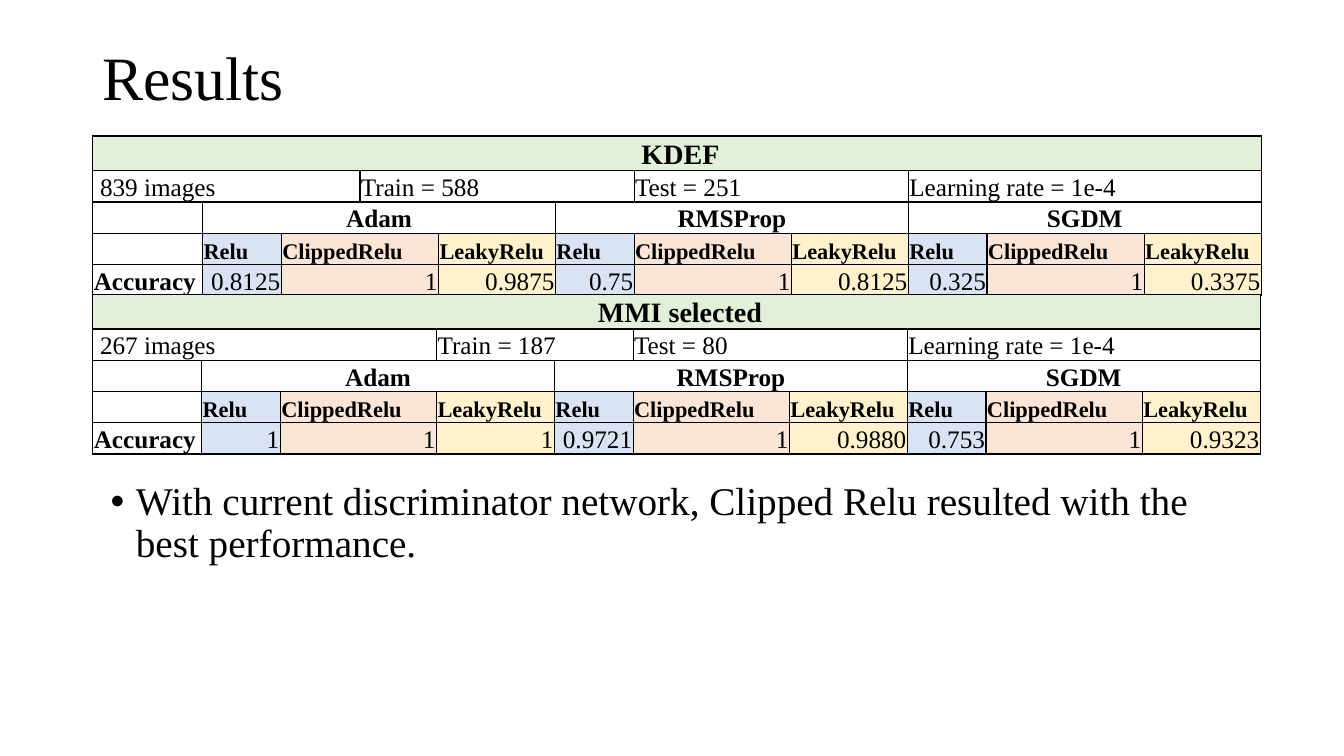
import pptx
import pptx.dml.color
import pptx.enum.text
import pptx.oxml.ns
import pptx.util
from lxml import etree

Inches = pptx.util.Inches
Pt = pptx.util.Pt
RGBColor = pptx.dml.color.RGBColor
qn = pptx.oxml.ns.qn
ALIGN = pptx.enum.text.PP_ALIGN
ANCHOR = pptx.enum.text.MSO_ANCHOR

FONT = "Times New Roman"
BLACK = RGBColor(0x00, 0x00, 0x00)
GREEN = RGBColor(0xE2, 0xF0, 0xD9)
BLUE = RGBColor(0xDA, 0xE3, 0xF3)
ORANGE = RGBColor(0xFB, 0xE5, 0xD6)
YELLOW = RGBColor(0xFF, 0xF2, 0xCC)

ACTIVATIONS = ["Relu", "ClippedRelu", "LeakyRelu"]
ACTIVATION_FILLS = [None] + [BLUE, ORANGE, YELLOW] * 3
OPTIMIZERS = ["Adam", "RMSProp", "SGDM"]
ROW_HEIGHTS = [0.18, 0.21, 0.15, 0.15, 0.15]

KDEF = {
    "name": " KDEF",
    "top": 1.35,
    "widths": [1.09, 0.78, 0.78, 0.78, 1.16] + [0.78, 1.56, 1.16] * 2,
    "split": [" 839 images", "Train = 588", "Test = 251", "Learning rate = 1e-4"],
    "split_spans": [3, 3, 2, 3],
    "optimizer_spans": [1, 4, 3, 3],
    "activation_spans": [1, 1, 2] + [1] * 7,
    "accuracy": ["0.8125", "1", "0.9875", "0.75", "1", "0.8125", "0.325", "1", "0.3375"],
}
MMI = {
    "name": " MMI selected",
    "top": 2.92,
    "widths": [1.08] + [0.78, 1.55, 1.17] * 3,
    "split": [" 267 images", "Train = 187", "Test = 80", "Learning rate = 1e-4 "],
    "split_spans": [3, 2, 2, 3],
    "optimizer_spans": [1, 3, 3, 3],
    "activation_spans": [1] * 10,
    "accuracy": ["1", "1", "1", "0.9721", "1", "0.9880", "0.753", "1", "0.9323"],
}


def add_run(p, text, size, bold=False):
    r = p.add_run()
    r.text = text
    r.font.name = FONT
    r.font.size = Pt(size)
    r.font.bold = bold
    r.font.color.rgb = BLACK


def add_text(slide, left, top, width, height, text, size, anchor):
    box = slide.shapes.add_textbox(Inches(left), Inches(top), Inches(width), Inches(height))
    tf = box.text_frame
    tf.word_wrap = True
    tf.vertical_anchor = anchor
    p = tf.paragraphs[0]
    p.line_spacing = 0.9
    add_run(p, text, size)
    return p


def add_bullet(p):
    p.space_before = Pt(10)
    pPr = p._p.get_or_add_pPr()
    pPr.set("marL", str(Inches(0.25)))
    pPr.set("indent", str(Inches(-0.25)))
    etree.SubElement(pPr, qn("a:buFont"), typeface="Arial")
    etree.SubElement(pPr, qn("a:buChar"), char="•")


def format_cell(cell):
    """Give a cell thin black borders, tight margins and no fill."""
    cell.margin_left = cell.margin_right = cell.margin_top = Inches(0.01)
    cell.margin_bottom = 0
    cell.vertical_anchor = ANCHOR.BOTTOM
    tcPr = cell._tc.get_or_add_tcPr()
    for side in ("lnL", "lnR", "lnT", "lnB"):
        ln = etree.SubElement(tcPr, qn(f"a:{side}"), w=str(Pt(1)))
        fill = etree.SubElement(ln, qn("a:solidFill"))
        etree.SubElement(fill, qn("a:srgbClr"), val=str(BLACK))
    cell.fill.background()


def fill_cell(cell, text, size, bold, align, color):
    p = cell.text_frame.paragraphs[0]
    if text:
        p.alignment = align
        add_run(p, text, size, bold)
    else:
        end = etree.SubElement(p._p, qn("a:endParaRPr"), sz="1800")
        etree.SubElement(end, qn("a:latin"), typeface=FONT)
    if color is not None:
        cell.fill.solid()
        cell.fill.fore_color.rgb = color


def fill_row(table, row, texts, spans, size=18, bold=False, align=ALIGN.LEFT, fills=None):
    """Write texts from left to right, each over its span of columns."""
    col = 0
    for text, span, color in zip(texts, spans, fills or [None] * len(texts)):
        cell = table.cell(row, col)
        if span > 1:
            cell.merge(table.cell(row, col + span - 1))
        fill_cell(cell, text, size, bold, align, color)
        col += span


def add_results(slide, data):
    widths = data["widths"]
    frame = slide.shapes.add_table(len(ROW_HEIGHTS), len(widths), Inches(0.92),
                                   Inches(data["top"]), Inches(11.58), Inches(1.57))
    table = frame.table
    table.first_row = table.horz_banding = False
    for column, width in zip(table.columns, widths):
        column.width = Inches(width)
    for row, height in zip(table.rows, ROW_HEIGHTS):
        row.height = Inches(height)
    frame.height = Inches(1.57)
    for cell in table.iter_cells():
        format_cell(cell)

    spans = data["activation_spans"]
    fill_row(table, 0, [data["name"]], [len(widths)], 20, True, ALIGN.CENTER, [GREEN])
    fill_row(table, 1, data["split"], data["split_spans"])
    fill_row(table, 2, [""] + OPTIMIZERS, data["optimizer_spans"], 18, True, ALIGN.CENTER)
    fill_row(table, 3, [""] + ACTIVATIONS * 3, spans, 16, True, fills=ACTIVATION_FILLS)
    fill_cell(table.cell(4, 0), "Accuracy", 18, True, ALIGN.LEFT, None)
    # The accuracy values follow the row label, so their spans start one column in.
    col = 1
    for value, span, color in zip(data["accuracy"], spans[1:], ACTIVATION_FILLS[1:]):
        cell = table.cell(4, col)
        if span > 1:
            cell.merge(table.cell(4, col + span - 1))
        fill_cell(cell, value, 18, False, ALIGN.RIGHT, color)
        col += span


def main():
    prs = pptx.Presentation()
    prs.slide_width = Inches(13.33)
    prs.slide_height = Inches(7.5)
    slide = prs.slides.add_slide(prs.slide_layouts[6])
    add_text(slide, 0.92, 0.4, 11.5, 0.8, "Results", 44, ANCHOR.MIDDLE)
    conclusion = add_text(
        slide, 1, 4.73, 11.5, 2.15,
        "With current discriminator network, Clipped Relu resulted with the best performance.",
        28, ANCHOR.TOP)
    add_bullet(conclusion)
    for data in (KDEF, MMI):
        add_results(slide, data)
    prs.save("out.pptx")


if __name__ == "__main__":
    main()
